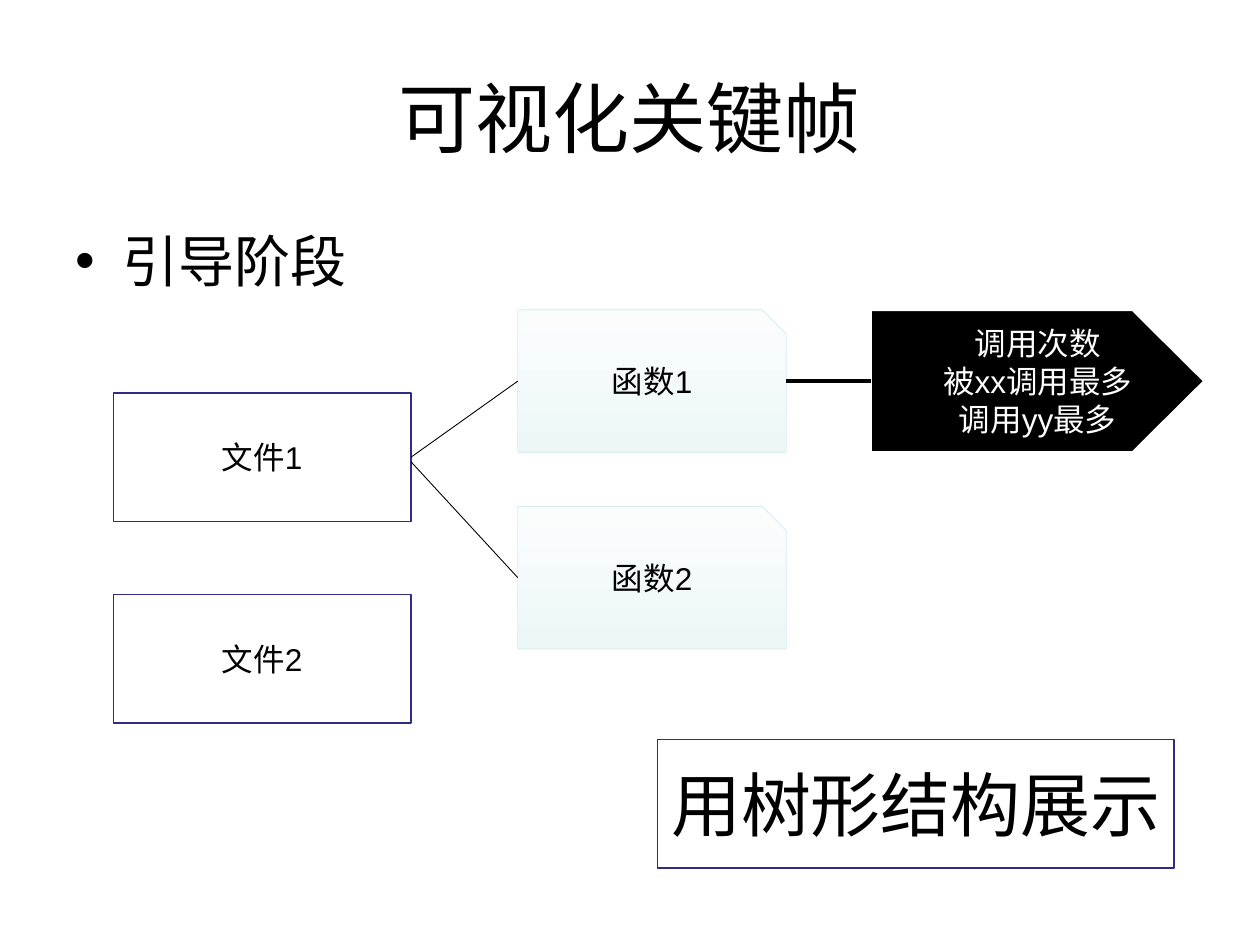
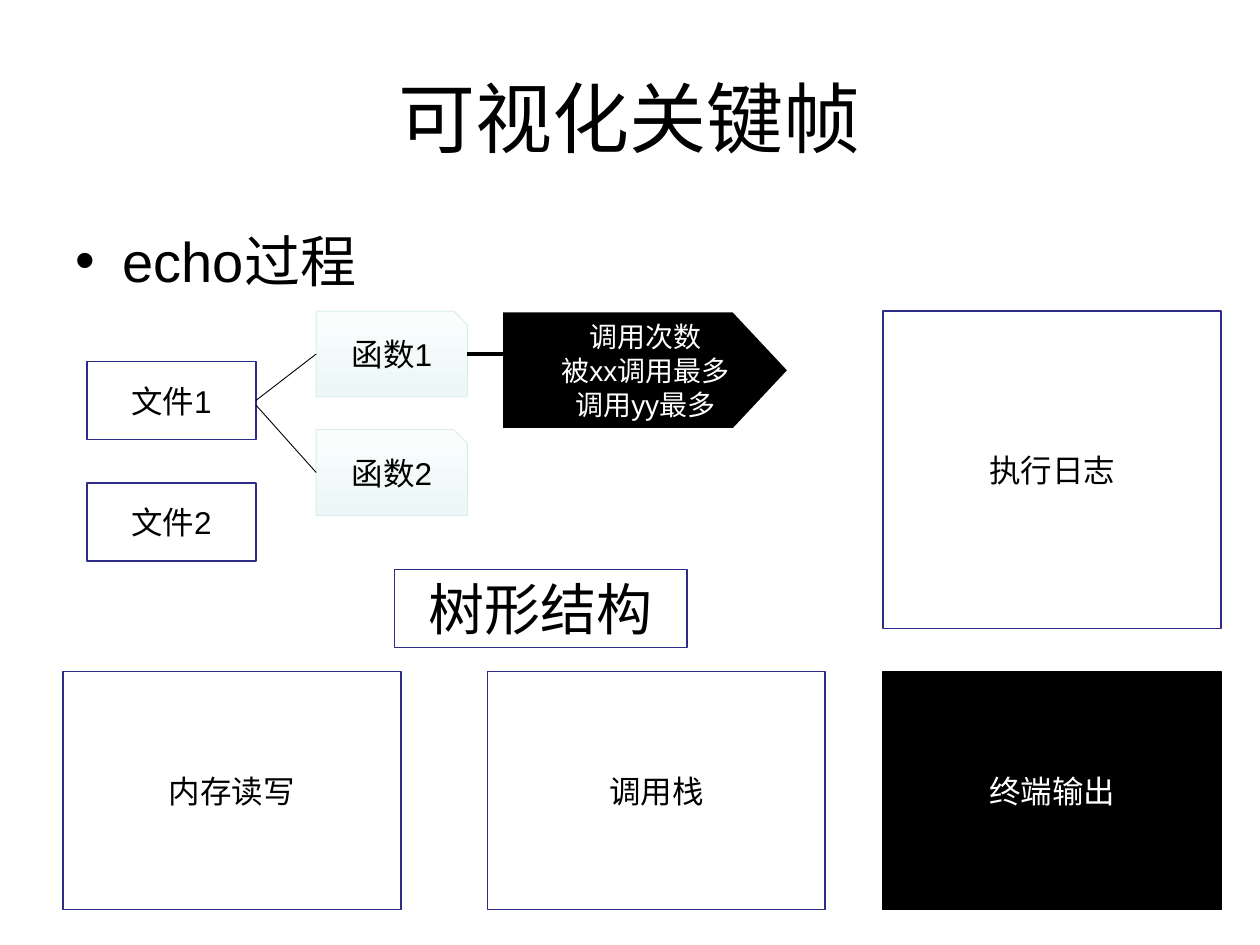
"""Build two slides that sketch the key frames of a code visualisation."""
from lxml import etree
from pptx import Presentation
from pptx.dml.color import RGBColor
from pptx.enum.shapes import MSO_CONNECTOR, MSO_SHAPE
from pptx.enum.text import MSO_ANCHOR, PP_ALIGN
from pptx.oxml.ns import qn
from pptx.util import Pt

STRAIGHT = MSO_CONNECTOR.STRAIGHT
RECTANGLE = MSO_SHAPE.RECTANGLE
MIDDLE, TOP = MSO_ANCHOR.MIDDLE, MSO_ANCHOR.TOP
CENTER, LEFT = PP_ALIGN.CENTER, PP_ALIGN.LEFT

FONT = "Arial"
COLORS = {
    "black": "000000",
    "white": "FFFFFF",
    "navy": "2D2D89",
    "mist_top": "FBFDFD",
    "mist_bottom": "EDF7F7",
    "mist_line": "D9EDEE",
}

TITLE = "可视化关键帧"
TITLE_BOX = (36, 21.6, 648, 90)
BODY_BOX = (36, 126, 648, 356.4)
BULLET_INDENT = 27
FILES = ["文件1", "文件2"]
FUNCTIONS = ["函数1", "函数2"]
CALL_FACTS = ["调用次数", "被xx调用最多", "调用yy最多"]
CORNER_SHARE = 0.09
BRANCH_GAP = 2.5

PANEL_WIDTH, PANEL_HEIGHT, PANEL_TOP = 193, 136, 383.8
LOG_TOP, LOG_HEIGHT = 177.8, 181.4
PANELS = [
    ("内存读写", 36, PANEL_TOP, PANEL_HEIGHT, "white", "navy"),
    ("调用栈", 278.6, PANEL_TOP, PANEL_HEIGHT, "white", "navy"),
    ("终端输出", 504.7, PANEL_TOP, PANEL_HEIGHT, "black", "black"),
    ("执行日志", 504.7, LOG_TOP, LOG_HEIGHT, "white", "navy"),
]

SLIDES = [
    {
        "bullet": "引导阶段",
        "panels": [],
        "file": (64.8, 224.6, 170, 73.4), "file_step": 115.2,
        "function": (295.9, 177.1, 153.4, 81.4), "function_step": 112.3,
        "facts": (497.5, 177.1, 190.8, 81.4),
        "facts_point": 41, "facts_size": 18, "link_end": 497.5,
        "summary": ("用树形结构展示", 40, (375.8, 422.6, 295.2, 73.4)),
    },
    {
        "bullet": "echo过程",
        "panels": PANELS,
        "file": (49.7, 206.6, 96.5, 44.6), "file_step": 69.2,
        "function": (180.7, 177.8, 86.4, 49), "function_step": 67.7,
        "facts": (286.6, 177.8, 164.2, 67.7),
        "facts_point": 31.7, "facts_size": 16, "link_end": 294.5,
        "summary": ("树形结构", 32, (225.4, 325.4, 167, 44.6)),
    },
]


def color(name):
    return RGBColor.from_string(COLORS[name])


def write(shape, lines, size, ink="black", align=CENTER, anchor=MIDDLE):
    frame = shape.text_frame
    frame.word_wrap = True
    frame.vertical_anchor = anchor
    frame.margin_left = frame.margin_right = Pt(7.2)
    frame.margin_top = frame.margin_bottom = Pt(3.6)
    for index, line in enumerate(lines):
        paragraph = frame.add_paragraph() if index else frame.paragraphs[0]
        paragraph.alignment = align
        run = paragraph.add_run()
        run.text = line
        run.font.name = FONT
        run.font.size = Pt(size)
        run.font.color.rgb = color(ink)
    return frame.paragraphs[0]


def outline(shape, line, width):
    shape.shadow.inherit = False
    shape.line.color.rgb = color(line)
    shape.line.width = Pt(width)


def add_box(slide, box, text, size=18, fill="white", line="navy"):
    shape = slide.shapes.add_shape(RECTANGLE, *map(Pt, box))
    shape.fill.solid()
    shape.fill.fore_color.rgb = color(fill)
    outline(shape, line, 1)
    write(shape, [text], size, "white" if fill == "black" else "black")


def add_polygon(slide, points):
    start, *others = [(Pt(x), Pt(y)) for x, y in points]
    builder = slide.shapes.build_freeform(*start)
    builder.add_line_segments(others, close=True)
    return builder.convert_to_shape()


def add_function(slide, box, text):
    left, top, width, height = box
    right, bottom = left + width, top + height
    corner = width * CORNER_SHARE
    shape = add_polygon(slide, [
        (left, top), (right - corner, top), (right, top + corner),
        (right, bottom), (left, bottom)])
    shape.fill.gradient()
    shape.fill.gradient_angle = 270
    for stop, name in zip(shape.fill.gradient_stops, ("mist_top", "mist_bottom")):
        stop.color.rgb = color(name)
    outline(shape, "mist_line", 0.5)
    write(shape, [text], 18)


def add_facts(slide, box, point, size):
    left, top, width, height = box
    right, bottom = left + width, top + height
    shape = add_polygon(slide, [
        (left, top), (right - point, top), (right, top + height / 2),
        (right - point, bottom), (left, bottom)])
    shape.fill.solid()
    shape.fill.fore_color.rgb = color("black")
    outline(shape, "white", 1.5)
    write(shape, CALL_FACTS, size, "white")


def add_line(slide, start, end, width):
    connector = slide.shapes.add_connector(STRAIGHT, *map(Pt, start + end))
    connector.line.color.rgb = color("black")
    connector.line.width = Pt(width)
    etree.SubElement(connector._element.spPr, qn("a:effectLst"))


def add_heading(slide, bullet):
    write(slide.shapes.add_textbox(*map(Pt, TITLE_BOX)), [TITLE], 44)
    body = slide.shapes.add_textbox(*map(Pt, BODY_BOX))
    paragraph = write(body, [bullet], 32, align=LEFT, anchor=TOP)
    paragraph.space_before = Pt(8)
    properties = paragraph._p.get_or_add_pPr()
    properties.set("marL", str(Pt(BULLET_INDENT)))
    properties.set("indent", str(-Pt(BULLET_INDENT)))
    etree.SubElement(properties, qn("a:buFont"), typeface=FONT)
    etree.SubElement(properties, qn("a:buChar"), char="•")


def add_tree(slide, tree):
    file_left, file_top, file_width, file_height = tree["file"]
    left, top, width, height = tree["function"]
    for index, text in enumerate(FILES):
        file_y = file_top + index * tree["file_step"]
        add_box(slide, (file_left, file_y, file_width, file_height), text)
    for index, text in enumerate(FUNCTIONS):
        function_y = top + index * tree["function_step"]
        add_function(slide, (left, function_y, width, height), text)
    add_facts(slide, tree["facts"], tree["facts_point"], tree["facts_size"])

    file_right, file_middle = file_left + file_width, file_top + file_height / 2
    middle = top + height / 2
    for index in range(len(FUNCTIONS)):
        add_line(slide, (file_right, file_middle + index * BRANCH_GAP),
                 (left, middle + index * tree["function_step"]), 0.5)
    add_line(slide, (left + width, middle), (tree["link_end"], middle), 2.25)

    text, size, box = tree["summary"]
    add_box(slide, box, text, size)


def main():
    presentation = Presentation()
    presentation.slide_width, presentation.slide_height = Pt(720), Pt(540)
    for content in SLIDES:
        slide = presentation.slides.add_slide(presentation.slide_layouts[6])
        add_heading(slide, content["bullet"])
        for text, left, top, height, fill, line in content["panels"]:
            add_box(slide, (left, top, PANEL_WIDTH, height), text, fill=fill, line=line)
        add_tree(slide, content)
    presentation.save("out.pptx")


if __name__ == "__main__":
    main()
